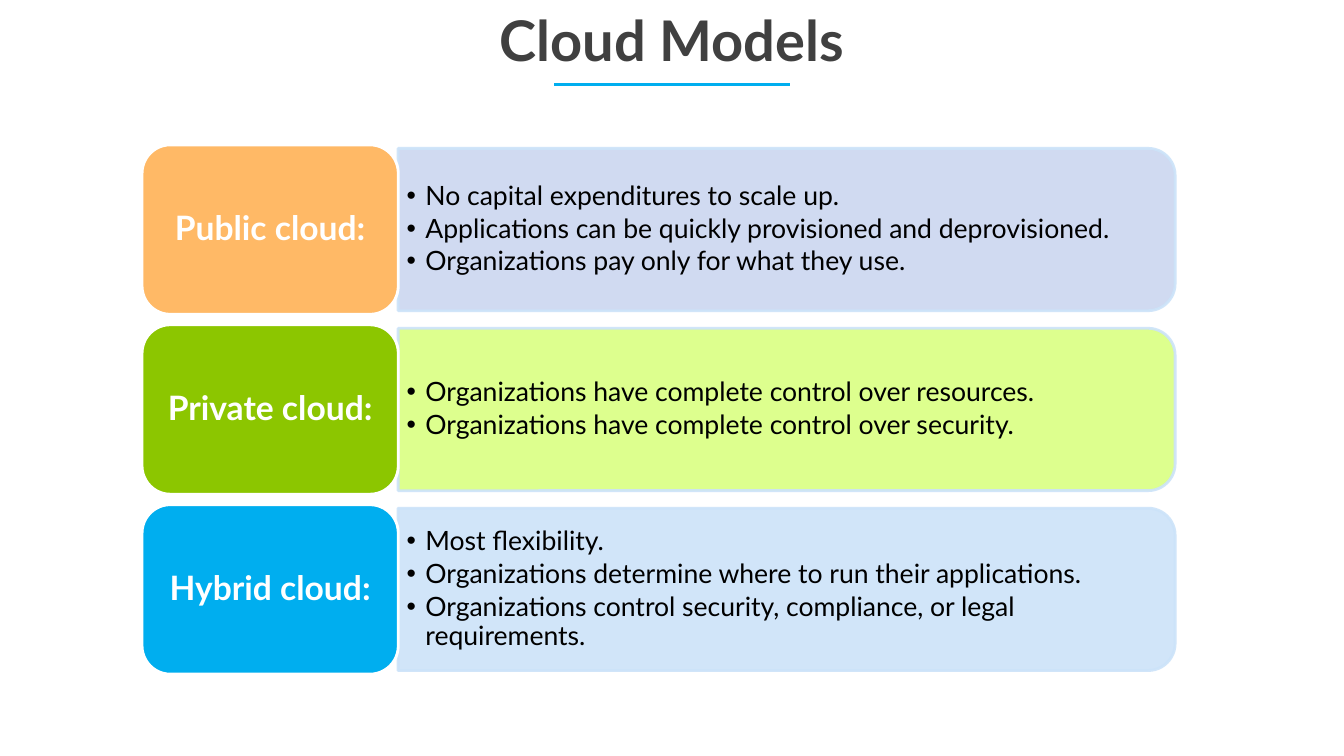
from dataclasses import dataclass

from lxml import etree
from pptx import Presentation
from pptx import util as u
from pptx.dml import color
from pptx.enum import shapes, text
from pptx.oxml import ns


@dataclass(frozen=True)
class Theme:
    font: str = "Lato"
    title_size: float = 40
    label_size: float = 24
    list_size: float = 19
    title: str = "404040"
    accent: str = "00AEEF"
    ink: str = "000000"
    light: str = "FFFFFF"
    border: str = "CCE3F9"
    border_width: float = 2
    opacity: int = 90


@dataclass(frozen=True)
class CloudModel:
    label: str
    points: tuple[str, ...]
    label_fill: str
    panel_fill: str
    panel_opacity: int
    list_slot: int


THEME = Theme()
SLIDE_WIDTH, SLIDE_HEIGHT = 960, 540
FIRST_CENTER, ROW_PITCH = 164, 128.5
LABEL_LEFT, LABEL_WIDTH, LABEL_HEIGHT = 101.5, 183, 121
PANEL_LEFT, PANEL_WIDTH, PANEL_HEIGHT = 284.4, 555, 116
LIST_WIDTH, LIST_HEIGHT = 549.4, 104.5
BULLET_INDENT = 13.5
UNUSED_SLOT = 3

MODELS = (
    CloudModel(
        "Public cloud:",
        (
            "No capital expenditures to scale up.",
            "Applications can be quickly provisioned and deprovisioned.",
            "Organizations pay only for what they use.",
        ),
        "FFB966", "D0DAF1", 100, 1,
    ),
    CloudModel(
        "Private cloud:",
        (
            "Organizations have complete control over resources.",
            "Organizations have complete control over security.",
        ),
        "8CC600", "DAFF82", THEME.opacity, 2,
    ),
    CloudModel(
        "Hybrid cloud:",
        (
            "Most flexibility.",
            "Organizations determine where to run their applications.",
            "Organizations control security, compliance, or legal requirements.",
        ),
        "00AEEF", "CCE3F9", THEME.opacity, 4,
    ),
)


def place(box, left: float, top: float, width: float, height: float) -> None:
    box.left, box.top = u.Pt(left), u.Pt(top)
    box.width, box.height = u.Pt(width), u.Pt(height)


def set_frame(box, anchor, side: float, edge: float) -> None:
    frame = box.text_frame
    frame.word_wrap = True
    frame.auto_size = text.MSO_AUTO_SIZE.NONE
    frame.vertical_anchor = anchor
    frame.margin_left = frame.margin_right = u.Pt(side)
    frame.margin_top = frame.margin_bottom = u.Pt(edge)


def add_span(para, words: str, size: float, rgb: str, bold: bool) -> None:
    span = para.add_run()
    span.text = words
    span.font.name = THEME.font
    span.font.size = u.Pt(size)
    span.font.bold = bold
    span.font.color.rgb = color.RGBColor.from_string(rgb)


def set_opacity(element, percent: int) -> None:
    for tint in element.iter(ns.qn("a:srgbClr")):
        etree.SubElement(tint, ns.qn("a:alpha"), val=str(percent * 1000))


def add_block(page, kind, bounds: tuple[float, ...], fill: str, border: str):
    block = page.shapes.add_shape(kind, *(u.Pt(value) for value in bounds))
    block.shadow.inherit = False
    block.fill.solid()
    block.fill.fore_color.rgb = color.RGBColor.from_string(fill)
    block.line.color.rgb = color.RGBColor.from_string(border)
    block.line.width = u.Pt(THEME.border_width)
    return block


def add_bullet(para) -> None:
    props = para._p.get_or_add_pPr()
    props.set("marL", str(u.Pt(BULLET_INDENT)))
    props.set("indent", str(-u.Pt(BULLET_INDENT)))
    etree.SubElement(props, ns.qn("a:buFont"), typeface="Arial")
    etree.SubElement(props, ns.qn("a:buChar"), char="•")


def add_title(page) -> None:
    box = page.shapes.title
    place(box, 0, 0, SLIDE_WIDTH, 55.4)
    set_frame(box, text.MSO_ANCHOR.TOP, 7.2, 3.6)
    para = box.text_frame.paragraphs[0]
    para.alignment = text.PP_ALIGN.CENTER
    add_span(para, "Cloud Models", THEME.title_size, THEME.title, True)

    rule = page.shapes.add_connector(
        shapes.MSO_CONNECTOR.STRAIGHT, u.Pt(396), u.Pt(60.5), u.Pt(564), u.Pt(60.5)
    )
    rule.line.color.rgb = color.RGBColor.from_string(THEME.accent)
    rule.line.width = u.Pt(2.5)
    etree.SubElement(rule.element.spPr, ns.qn("a:effectLst"))


def add_panel(page, model: CloudModel, center: float):
    middle = PANEL_LEFT + PANEL_WIDTH / 2
    bounds = (middle - PANEL_HEIGHT / 2, center - PANEL_WIDTH / 2, PANEL_HEIGHT, PANEL_WIDTH)
    panel = add_block(
        page, shapes.MSO_SHAPE.ROUND_2_SAME_RECTANGLE, bounds, model.panel_fill, THEME.border
    )
    panel.rotation = 90
    props = panel.element.spPr
    set_opacity(props.find(ns.qn("a:solidFill")), model.panel_opacity)
    set_opacity(props.find(ns.qn("a:ln")), THEME.opacity)
    return panel


def add_list(page, model: CloudModel, center: float, panel) -> None:
    box = page.placeholders[model.list_slot]
    panel.element.addnext(box.element)
    place(box, PANEL_LEFT, center - LIST_HEIGHT / 2, LIST_WIDTH, LIST_HEIGHT)
    set_frame(box, text.MSO_ANCHOR.MIDDLE, 6, 3)
    for index, point in enumerate(model.points):
        frame = box.text_frame
        para = frame.add_paragraph() if index else frame.paragraphs[0]
        para.level = 1
        para.alignment = text.PP_ALIGN.LEFT
        para.line_spacing = 0.9
        para.space_before = u.Pt(0)
        para.space_after = u.Pt(2.85)
        add_bullet(para)
        add_span(para, point, THEME.list_size, THEME.ink, False)


def add_label(page, model: CloudModel, center: float) -> None:
    bounds = (LABEL_LEFT, center - LABEL_HEIGHT / 2, LABEL_WIDTH, LABEL_HEIGHT)
    label = add_block(
        page, shapes.MSO_SHAPE.ROUNDED_RECTANGLE, bounds, model.label_fill, THEME.light
    )
    set_frame(label, text.MSO_ANCHOR.MIDDLE, 7.2, 3.6)
    para = label.text_frame.paragraphs[0]
    para.alignment = text.PP_ALIGN.CENTER
    para.line_spacing = 0.9
    add_span(para, model.label, THEME.label_size, THEME.light, True)


def main() -> None:
    deck = Presentation()
    deck.slide_width, deck.slide_height = u.Pt(SLIDE_WIDTH), u.Pt(SLIDE_HEIGHT)
    page = deck.slides.add_slide(deck.slide_layouts.get_by_name("Comparison"))
    add_title(page)
    for row, model in enumerate(MODELS):
        center = FIRST_CENTER + row * ROW_PITCH
        panel = add_panel(page, model, center)
        add_list(page, model, center, panel)
        add_label(page, model, center)
    unused = page.placeholders[UNUSED_SLOT].element
    unused.getparent().remove(unused)
    deck.save("out.pptx")


if __name__ == "__main__":
    main()
